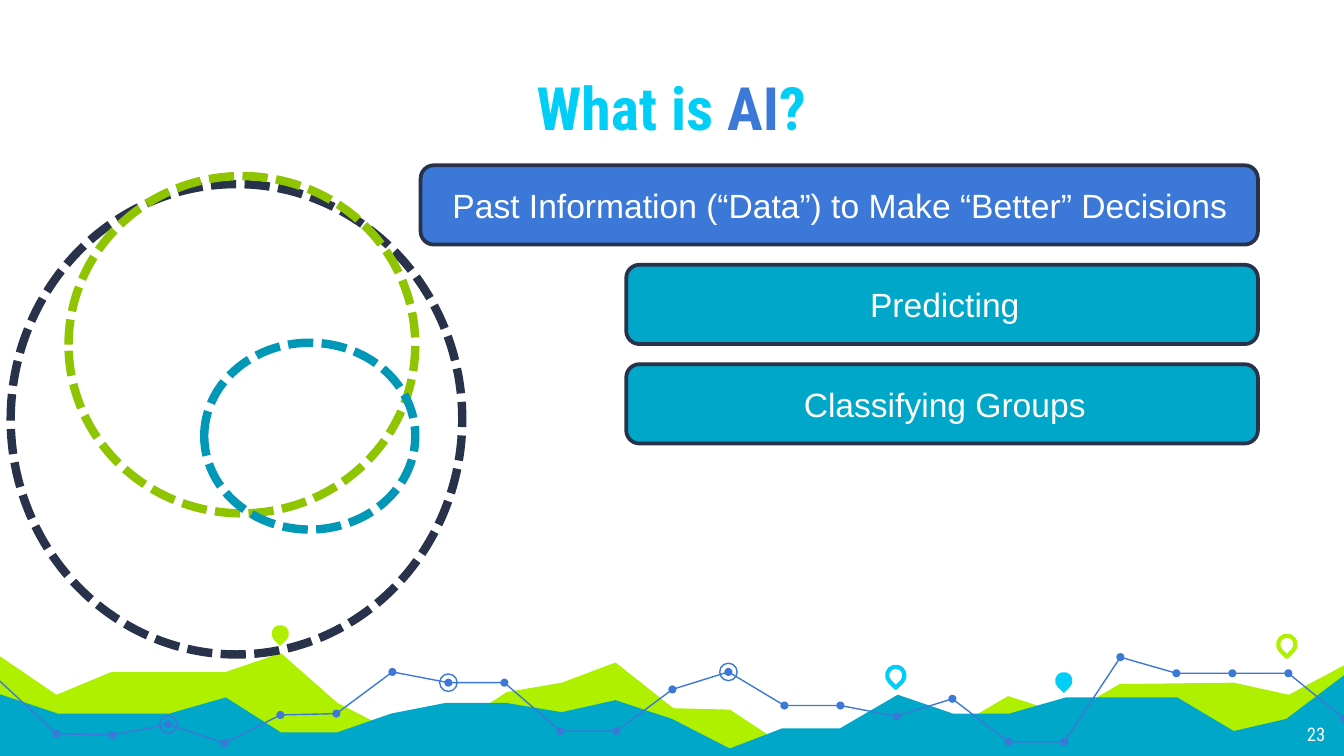
from pptx import Presentation
from pptx.dml.color import RGBColor
from pptx.enum.dml import MSO_LINE_DASH_STYLE as Dash
from pptx.enum.shapes import MSO_SHAPE as Kind
from pptx.enum.text import MSO_ANCHOR as Anchor, MSO_AUTO_SIZE as Fit, PP_ALIGN as Align
from pptx.util import Inches, Pt

LIME, TEAL, CYAN, BLUE, NAVY, WHITE = "AFF000", "00A7C8", "00CEF6", "3C78D8", "28324A", "FFFFFF"
HEAD = "Roboto Condensed"
TITLE = [("What is ", CYAN), ("AI", BLUE), ("?", CYAN)]
BARS = [
    ("Past Information (“Data”) to Make “Better” Decisions", 3.13, BLUE, Align.LEFT),
    ("Predicting ", 4.66, TEAL, Align.CENTER),
    ("Classifying Groups ", 4.66, TEAL, Align.CENTER),
]
RINGS = [
    ((0.08, 1.37, 3.36, 3.5), NAVY),
    ((0.51, 1.31, 2.58, 2.51), "8EC400"),
    ((1.52, 2.55, 1.57, 1.39), "0098B6"),
]
HILLS = [
    (LIME, [(-0.02, 4.87), (0.42, 5.17), (0.83, 5), (1.68, 5), (2.09, 4.86), (2.51, 5.23),
            (2.92, 5.44), (3.33, 5.44), (3.77, 5.15), (4.18, 5.08), (4.58, 4.93), (5.01, 5.27),
            (5.43, 5.28), (5.84, 5.55), (6.26, 5.55), (6.7, 5.41), (7.11, 5.41), (7.5, 5.18),
            (7.94, 5.32), (8.33, 5.09), (9.18, 5.08), (9.59, 5.17), (10.02, 4.94)]),
    (TEAL, [(-0.02, 5.16), (0.43, 5.31), (1.26, 5.31), (1.68, 5.19), (2.09, 5.45), (2.51, 5.45),
            (2.91, 5.31), (3.32, 5.23), (3.76, 5.23), (4.18, 5.3), (4.58, 5.21), (5, 5.35),
            (5.43, 5.57), (5.82, 5.42), (6.25, 5.42), (6.68, 5.17), (7.09, 5.31), (7.51, 5.31),
            (7.93, 5.19), (8.76, 5.19), (9.18, 5.44), (9.57, 5.35), (10.02, 5.01)]),
]
PINS = [
    (2.02, 4.65, {"fill": LIME}),
    (6.6, 4.96, {"line": CYAN, "width": 2.25}),
    (7.85, 5, {"fill": CYAN}),
    (9.51, 4.73, {"line": LIME, "width": 2.25}),
]
TREND = [5.46, 5.47, 5.39, 5.53, 5.32, 5.31, 5, 5.08, 5.08, 5.44, 5.44, 5.13,
         5, 5.25, 5.25, 5.33, 5.2, 5.52, 5.52, 4.89, 5.01, 5.01, 5.01, 5.35]
MARKED = [2, 7, 12]


def color(code):
    return RGBColor.from_string(code)


def paint(shape, fill=None, line=None, width=0.75, dash=None):
    shape.shadow.inherit = False
    if fill:
        shape.fill.solid()
        shape.fill.fore_color.rgb = color(fill)
    else:
        shape.fill.background()
    if line:
        shape.line.color.rgb = color(line)
        shape.line.width = Pt(width)
        if dash:
            shape.line.dash_style = dash
    else:
        shape.line.fill.background()
    return shape


def draw(slide, kind, box, **look):
    return paint(slide.shapes.add_shape(kind, *map(Inches, box)), **look)


def trace(slide, points, close, **look):
    spots = [(Inches(x), Inches(y)) for x, y in points]
    pen = slide.shapes.build_freeform(*spots[0])
    pen.add_line_segments(spots[1:], close=close)
    return paint(pen.convert_to_shape(), **look)


def write(shape, runs, size=18, font="Arial", bold=False, align=Align.CENTER,
          anchor=Anchor.MIDDLE, inset=0.05, indent=0):
    frame = shape.text_frame
    frame.word_wrap, frame.auto_size, frame.vertical_anchor = True, Fit.NONE, anchor
    frame.margin_left = frame.margin_right = Inches(0.1)
    frame.margin_top = frame.margin_bottom = Inches(inset)
    para = frame.paragraphs[0]
    para.alignment = align
    para.space_before = Pt(0)
    props = para._p.get_or_add_pPr()
    props.set("marL", str(Inches(indent)))
    props.set("indent", "0")
    for text, tint in runs:
        run = para.add_run()
        run.text = text
        run.font.size, run.font.name, run.font.bold = Pt(size), font, bold
        run.font.color.rgb = color(tint)


def scene(slide):
    for tint, ridge in HILLS:
        trace(slide, ridge + [(10.02, 5.65), (-0.03, 5.65)], True, fill=tint)
    for x, y, look in PINS:
        pin = draw(slide, Kind.TEAR, (x, y, 0.13, 0.13), **look)
        pin.adjustments[0] = 1
        pin.rotation = 135
    dots = [(0.42 + i * 10 / 24, y) for i, y in enumerate(TREND)]
    trace(slide, [(-0.01, 5.06)] + dots, False, line=BLUE)
    for x, y in dots:
        draw(slide, Kind.OVAL, (x - 0.03, y - 0.03, 0.06, 0.06), fill=BLUE)
    for x, y in (dots[i] for i in MARKED):
        draw(slide, Kind.OVAL, (x - 0.065, y - 0.065, 0.13, 0.13), line=BLUE)


def main():
    """Build the slide that says what AI is, above a hilly trend line."""
    deck = Presentation()
    deck.slide_width, deck.slide_height = Inches(10), Inches(10 * 9 / 16)
    slide = deck.slides.add_slide(deck.slide_layouts[5])
    scene(slide)
    page = slide.shapes.add_textbox(*map(Inches, (9.36, 5.28, 0.6, 0.35)))
    write(page, [("23", WHITE)], size=10, font=HEAD, align=Align.RIGHT,
          anchor=Anchor.TOP, inset=0.1)
    for i, (text, left, tint, align) in enumerate(BARS):
        box = (left, 1.23 + i * 0.74, 9.36 - left, 0.59)
        bar = draw(slide, Kind.ROUNDED_RECTANGLE, box, fill=tint, line=NAVY, width=2)
        write(bar, [(text, WHITE)], align=align, indent=0.11)
    for box, tint in RINGS:
        draw(slide, Kind.OVAL, box, line=tint, width=4.5, dash=Dash.SQUARE_DOT)
    title = slide.shapes.title
    title.left, title.top, title.width, title.height = map(Inches, (1.17, 0.26, 7.65, 0.9))
    write(title, TITLE, size=32, font=HEAD, bold=True, anchor=Anchor.BOTTOM, inset=0.1)
    deck.save("out.pptx")


if __name__ == "__main__":
    main()
